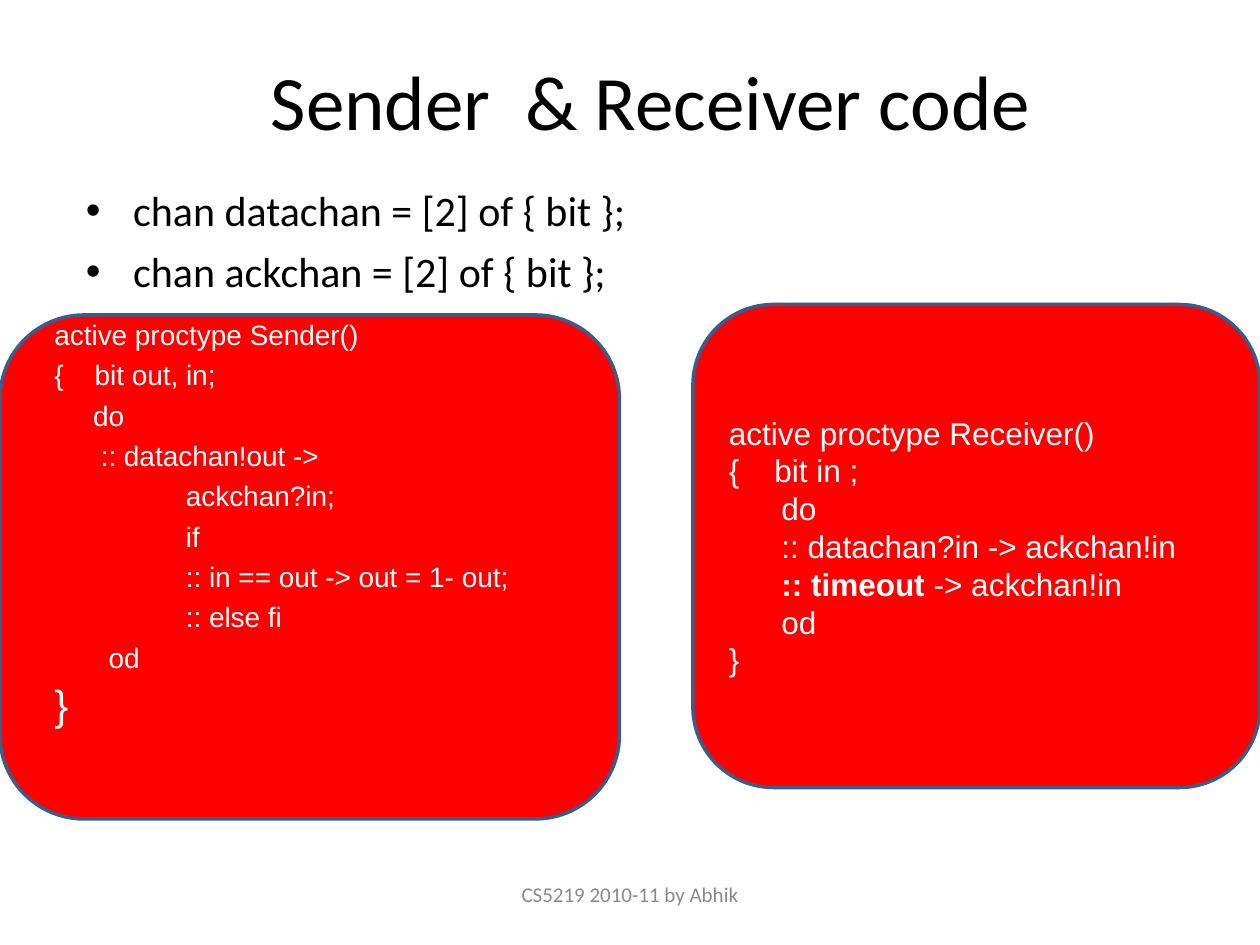
from pptx import Presentation
from pptx.dml.color import RGBColor
from pptx.enum.shapes import MSO_SHAPE
from pptx.enum.text import MSO_ANCHOR, PP_ALIGN
from pptx.oxml.ns import qn
from pptx.util import Pt
from lxml import etree

ROUNDED = MSO_SHAPE.ROUNDED_RECTANGLE
TOP, MIDDLE = MSO_ANCHOR.TOP, MSO_ANCHOR.MIDDLE
LEFT, CENTER = PP_ALIGN.LEFT, PP_ALIGN.CENTER

BLACK, WHITE, GRAY = "000000", "FFFFFF", "898989"
RED, BLUE = "FF0000", "385D8A"

TITLE = ["Sender  & Receiver code"]
CHANNELS = ["chan datachan = [2] of { bit };", "chan ackchan = [2] of { bit };"]
FOOTER = ["CS5219 2010-11 by Abhik"]
SENDER = [
    "active proctype Sender()",
    "{    bit out, in;",
    "     do",
    "      :: datachan!out ->",
    "                 ackchan?in;",
    "                 if",
    "                 :: in == out -> out = 1- out;",
    "                 :: else fi",
    "       od",
    "}",
]
RECEIVER = [
    "active proctype Receiver()",
    "{    bit in ;",
    "      do",
    "      :: datachan?in -> ackchan!in",
    [("      ", False), (":: timeout ", True), ("-> ackchan!in", False)],
    "      od",
    "}",
]

HANGING = 27


def rgb(value):
    return RGBColor.from_string(value)


def add_panel(slide, box):
    panel = slide.shapes.add_shape(ROUNDED, *map(Pt, box))
    panel.shadow.inherit = False
    panel.fill.solid()
    panel.fill.fore_color.rgb = rgb(RED)
    panel.line.color.rgb = rgb(BLUE)
    panel.line.width = Pt(2)
    return panel


def add_bullet(paragraph):
    properties = paragraph._p.get_or_add_pPr()
    properties.set("marL", str(Pt(HANGING)))
    properties.set("indent", str(-Pt(HANGING)))
    font = etree.SubElement(properties, qn("a:buFont"))
    font.set("typeface", "Arial")
    etree.SubElement(properties, qn("a:buChar")).set("char", "•")


def write(shape, lines, font, size, color, align=LEFT, anchor=TOP,
          gap=0, spacing=None, bullets=False):
    frame = shape.text_frame
    frame.word_wrap = True
    frame.vertical_anchor = anchor
    for index, line in enumerate(lines):
        paragraph = frame.paragraphs[0] if index == 0 else frame.add_paragraph()
        paragraph.alignment = align
        if index and gap:
            paragraph.space_before = Pt(gap)
        if spacing:
            paragraph.line_spacing = spacing
        if bullets:
            add_bullet(paragraph)
        paragraph.font.name = font
        paragraph.font.size = Pt(size)
        paragraph.font.color.rgb = rgb(color)
        for text, bold in [(line, False)] if isinstance(line, str) else line:
            run = paragraph.add_run()
            run.text = text
            if bold:
                run.font.bold = True
    return frame


def add_text(slide, box, *args, **options):
    return write(slide.shapes.add_textbox(*map(Pt, box)), *args, **options)


def main():
    deck = Presentation()
    deck.slide_width, deck.slide_height = Pt(720), Pt(540)
    slide = deck.slides.add_slide(deck.slide_layouts[6])

    add_panel(slide, (0, 180, 354, 288))
    add_text(slide, (66, 12, 612, 90), TITLE, "Calibri", 44, BLACK,
             align=CENTER, anchor=MIDDLE)
    add_text(slide, (246, 500.4, 228, 28.8), FOOTER, "Calibri", 12, GRAY, align=CENTER)
    add_text(slide, (42, 102, 612, 78), CHANNELS, "Calibri", 24, BLACK,
             gap=6, bullets=True)
    sender = add_text(slide, (24, 180, 332.4, 288), SENDER, "Arial", 16, WHITE,
                      gap=5.8, spacing=0.9)
    sender.paragraphs[-1].font.size = Pt(24)
    receiver = add_panel(slide, (396, 174, 324, 276))
    write(receiver, RECEIVER, "Arial", 18, WHITE, anchor=MIDDLE)

    deck.save("out.pptx")


if __name__ == "__main__":
    main()
